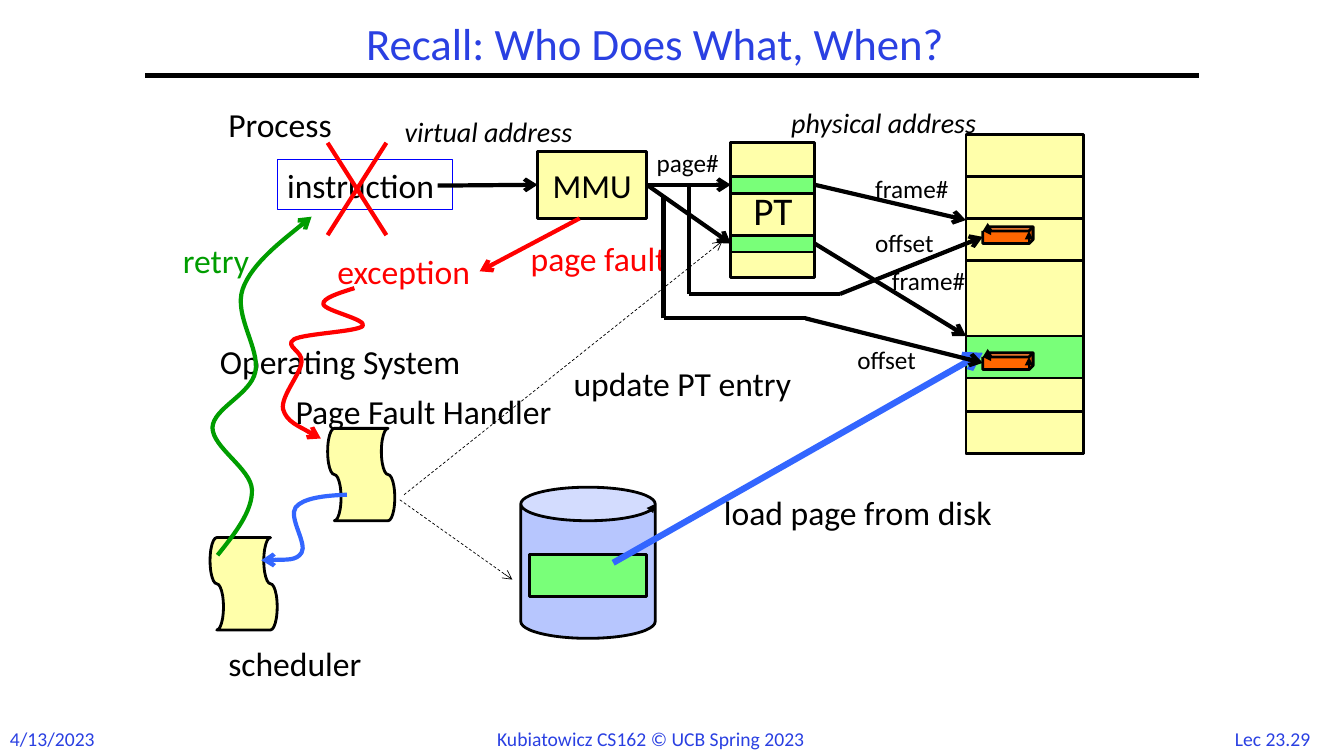
import pptx
import pptx.dml.color
import pptx.enum.dml
import pptx.enum.shapes
import pptx.enum.text
import pptx.oxml.ns
import pptx.util
from lxml import etree

COLUMNS, ROWS = 160, 90
BLACK, RED, GREEN, BLUE, NAVY = "000000", "FF0000", "009D00", "3366FF", "2A40E2"
YELLOW, LIME, LILAC, ORANGE = "FFFFAA", "79FF79", "B7C6FE", "FF6600"
SHAPE = pptx.enum.shapes.MSO_SHAPE
ALIGN = pptx.enum.text.PP_ALIGN
ANCHOR = pptx.enum.text.MSO_ANCHOR
AUTO_SIZE = pptx.enum.text.MSO_AUTO_SIZE
qn = pptx.oxml.ns.qn


def rgb(value):
    return pptx.dml.color.RGBColor.from_string(value)


class Diagram:
    """Draws the address translation slide on a grid of columns and rows."""

    font = "Calibri"

    def __init__(self, deck):
        self.cell = deck.slide_width // COLUMNS
        self.slide = deck.slides.add_slide(deck.slide_layouts[5])
        self.shapes = self.slide.shapes

    def grid(self, *lengths):
        return [round(length * self.cell) for length in lengths]

    def set_words(self, shape, words, size, color=BLACK, align=ALIGN.LEFT,
                  anchor=ANCHOR.TOP, italic=False):
        frame = shape.text_frame
        frame.text = words
        frame.vertical_anchor = anchor
        paragraph = frame.paragraphs[0]
        paragraph.alignment = align
        font = paragraph.runs[0].font
        font.name, font.size, font.italic = self.font, pptx.util.Pt(size), italic
        font.color.rgb = rgb(color)
        return frame

    def fit(self, frame):
        frame.word_wrap = False
        frame.auto_size = AUTO_SIZE.SHAPE_TO_FIT_TEXT

    def title(self, words, *box):
        title = self.shapes.title
        title.left, title.top, title.width, title.height = self.grid(*box)
        frame = self.set_words(title, words, 32, NAVY, ALIGN.CENTER, ANCHOR.MIDDLE)
        frame.auto_size = AUTO_SIZE.NONE
        frame.paragraphs[0].line_spacing = 0.9

    def label(self, words, left, top, width, size=24, color=BLACK, **style):
        height = size * 0.2 + 1.2
        box = self.shapes.add_textbox(*self.grid(left, top, width, height))
        self.fit(self.set_words(box, words, size, color, **style))

    def stroke(self, line, color, width, **ends):
        line.color.rgb = rgb(color)
        line.width = pptx.util.Pt(width)
        for end, kind in ends.items():
            etree.SubElement(line._get_or_add_ln(), qn(f"a:{end}"), type=kind)

    def block(self, left, top, width, height, fill=YELLOW, kind=SHAPE.RECTANGLE,
              words=None, size=24):
        block = self.shapes.add_shape(kind, *self.grid(left, top, width, height))
        block.shadow.inherit = False
        block.fill.solid()
        block.fill.fore_color.rgb = rgb(fill)
        self.stroke(block.line, BLACK, 2, headEnd="triangle")
        if words:
            self.set_words(block, words, size, BLACK, ALIGN.CENTER, ANCHOR.MIDDLE)
        return block

    def frame(self, words, *box):
        frame = self.shapes.add_shape(SHAPE.RECTANGLE, *self.grid(*box))
        frame.shadow.inherit = False
        frame.fill.background()
        self.stroke(frame.line, "0000FF", 0.75)
        self.fit(self.set_words(frame, words, 24))

    def tape(self, left, top):
        self.block(left, top, 11, 8, kind=SHAPE.FLOWCHART_PUNCHED_TAPE).rotation = 90

    def line(self, start, end, color=BLACK, width=3, arrow=True, dashed=False):
        straight = pptx.enum.shapes.MSO_CONNECTOR.STRAIGHT
        link = self.shapes.add_connector(straight, *self.grid(*start, *end))
        if dashed:
            link.line.dash_style = pptx.enum.dml.MSO_LINE.DASH
        self.stroke(link.line, color, width, **({"tailEnd": "arrow"} if arrow else {}))
        etree.SubElement(link._element.spPr, qn("a:effectLst"))

    def offset_route(self, source, corner, bend, target):
        self.line(corner, bend, arrow=False)
        self.line(corner, source, arrow=False)
        self.line(bend, target)

    def curve(self, color, start, *controls):
        builder = self.shapes.build_freeform(*self.grid(*start))
        builder.add_line_segments([self.grid(*point) for point in controls], close=False)
        curve = builder.convert_to_shape()
        curve.shadow.inherit = False
        curve.fill.background()
        self.stroke(curve.line, color, 3, tailEnd="arrow")
        outline = next(curve._element.iter(qn("a:path")))
        segments = outline.findall(qn("a:lnTo"))
        for first in range(0, len(segments), 3):
            bezier = etree.SubElement(outline, qn("a:cubicBezTo"))
            for segment in segments[first:first + 3]:
                bezier.append(segment[0])
                outline.remove(segment)


def main():
    deck = pptx.Presentation()
    deck.slide_width = pptx.util.Inches(COLUMNS / 12)
    deck.slide_height = pptx.util.Inches(ROWS / 12)
    d = Diagram(deck)

    d.title("Recall: Who Does What, When?", 29, 2, 98, 7)
    d.label("Lec 23.29", 145, 85.9, 13, 14, NAVY, align=ALIGN.CENTER)
    d.label("4/13/2023", 0, 85.9, 12.8, 14, NAVY)
    d.label("Kubiatowicz CS162 © UCB Spring 2023", 58, 85.9, 44.2, 14, NAVY)
    d.line((17.3, 9), (142.7, 9), arrow=False)

    d.label("virtual address", 47, 13, 24.4, 20, italic=True)
    d.block(115, 16, 14, 38)
    for page_top in (21, 26, 49):
        d.block(115, page_top, 14, 5)
    d.block(64, 18, 13, 8, words="MMU")
    d.block(87, 17, 10, 16, words="PT", size=28)
    d.offset_route((82, 22), (82, 35), (100, 35), (117, 28.2))
    d.frame("instruction", 33, 19, 20.9, 6)
    d.line((52.1, 22.1), (64, 22))
    d.label("physical address", 93, 12, 27.5, 20, italic=True)
    d.label("page#", 77, 17, 10.8, 18)
    d.label("frame#", 103, 20, 11.9, 18)
    d.label("offset", 103, 26.5, 9.7, 18)
    d.block(117, 27, 6, 2, ORANGE, SHAPE.CUBE)

    d.label("page fault", 62, 27.7, 20.2, color=RED)
    d.line((69, 26), (57.1, 32.3), RED)
    d.line((39, 17), (46, 28), RED, arrow=False)
    d.line((46, 17), (39, 28), RED, arrow=False)
    d.label("Operating System", 25, 40, 34.8)
    d.label("exception", 39, 29.3, 19.7, color=RED)
    d.curve(RED, (42.2, 34.3), (40.3, 34.9), (38.4, 35.5), (38.5, 36.2),
            (38.6, 37), (43.7, 38), (43.2, 38.8), (42.6, 39.5), (36.2, 39.7), (35, 40.4),
            (33.8, 41.2), (36.1, 41.8), (35.9, 43.1), (35.8, 44.5), (33.4, 47.2), (33.7, 48.7),
            (34.1, 50.2), (38.2, 52.2), (38.2, 52.2))
    d.label("Page Fault Handler", 34, 46, 37.3)
    d.tape(37.5, 52.5)

    d.block(62, 58, 16, 18, LILAC, SHAPE.CAN)
    d.block(63, 66, 14, 5, LIME)
    d.block(115, 40, 14, 5, LIME)
    d.line((47.6, 59.5), (61, 69), width=0.5, dashed=True)
    d.line((97, 29), (115, 40))
    d.block(87, 28, 10, 2, LIME)
    d.line((73, 67), (117, 42), BLUE, 4.5)
    d.label("load page from disk", 85, 58, 37.7)
    d.line((48.1, 58.9), (86, 28.7), width=0.5, dashed=True)
    d.label("update PT entry", 67.1, 42.6, 31.1)

    d.label("Process", 26, 11.8, 17)
    d.label("scheduler", 26, 76, 19.9)
    d.tape(23.5, 65.5)
    d.curve(BLUE, (41.3, 58.9), (38.6, 59), (36.1, 59.3), (35.2, 60.4),
            (34.3, 61.6), (36.6, 64.7), (35.9, 65.8), (35.3, 66.8), (31.1, 66.7), (31.1, 66.7))
    d.curve(GREEN, (25.9, 66.1), (28, 63.5), (30.1, 60.8), (30, 58.3),
            (29.9, 55.8), (25.3, 53.3), (25.3, 50.9), (25.4, 48.6), (29.8, 47), (30.4, 44.3),
            (31, 41.5), (27.8, 37.6), (28.9, 34.4), (30, 31.3), (37.1, 25.8), (37.1, 25.8))
    d.label("retry", 20.6, 28, 10.7, color=GREEN)

    d.block(117, 42, 6, 2, ORANGE, SHAPE.CUBE)
    d.line((77, 22), (87, 22))
    d.line((97, 22), (115, 26.2))
    d.block(87, 21, 10, 2, LIME)
    d.line((77, 22), (87, 29))
    d.offset_route((79, 23.3), (79, 37.9), (95.9, 37.9), (117, 43.2))
    d.label("frame#", 105, 31, 11.9, 18)
    d.label("offset", 100.9, 40.4, 9.7, 18)

    deck.save("out.pptx")


if __name__ == "__main__":
    main()
